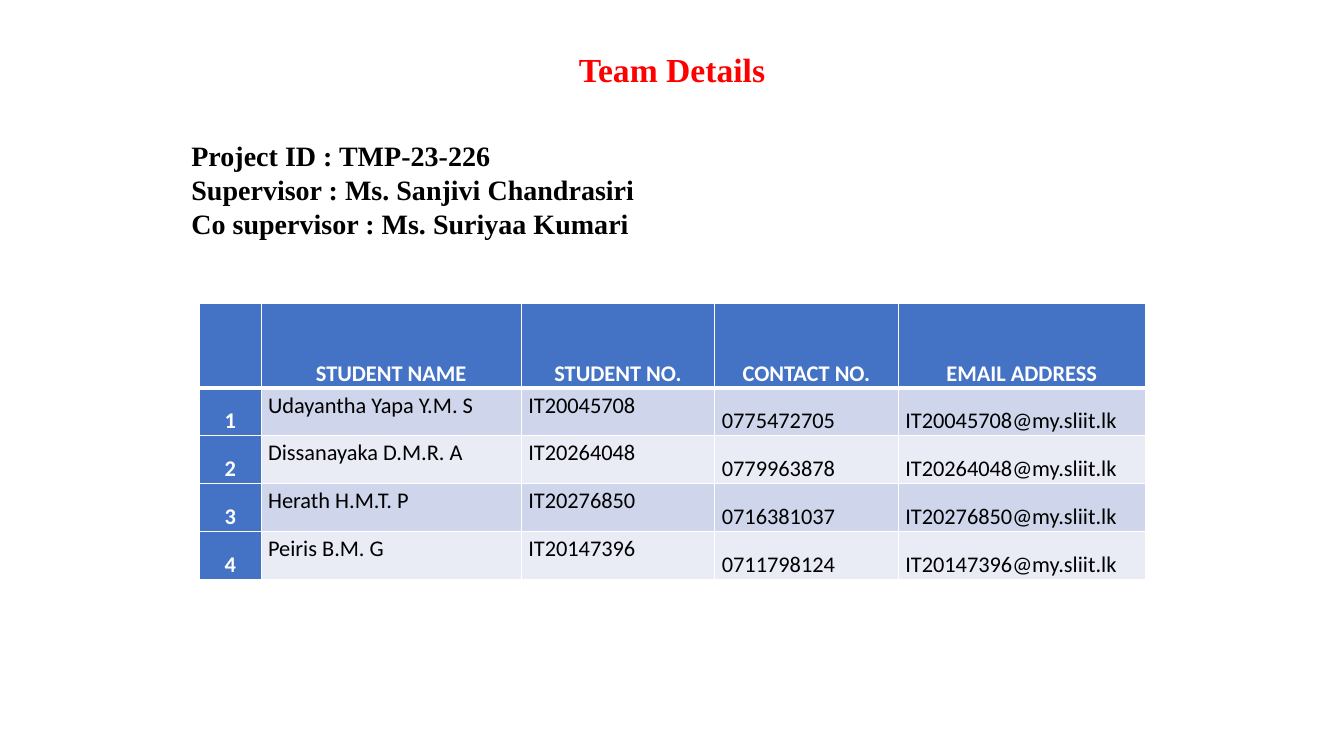
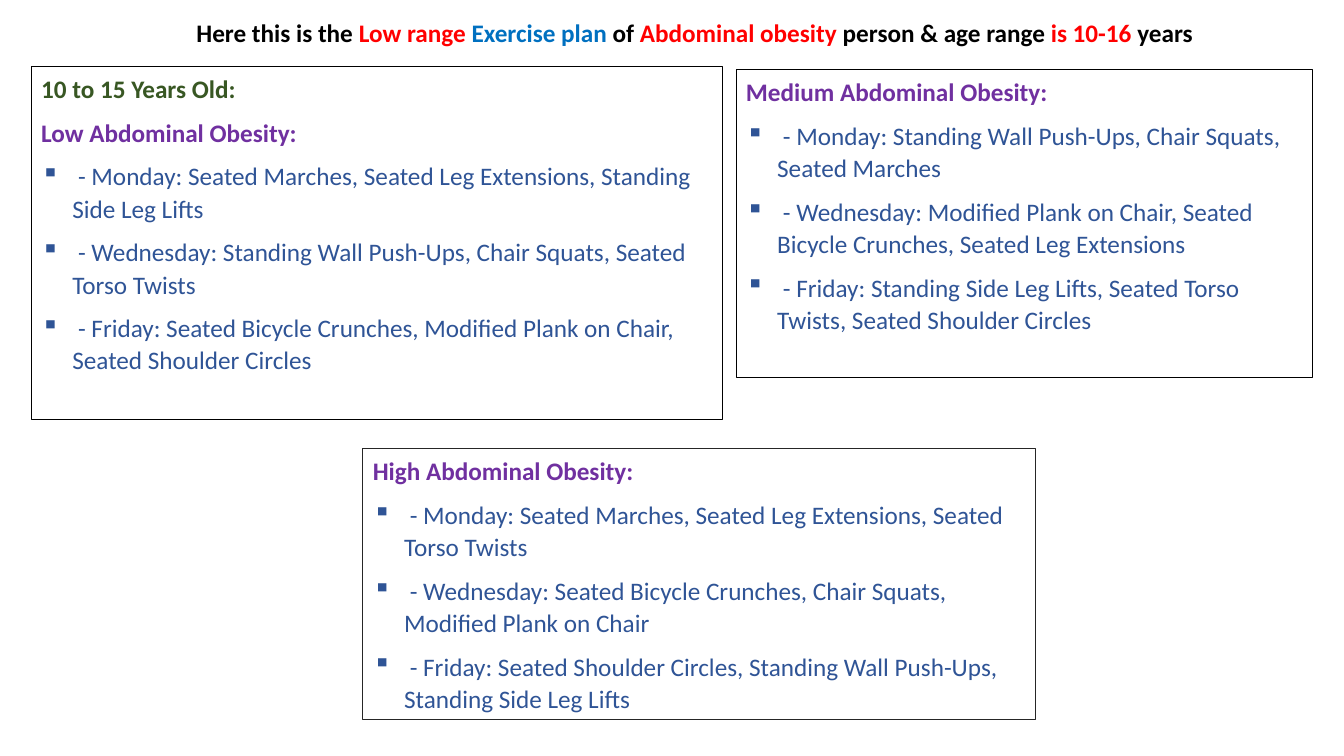
from dataclasses import dataclass

from lxml import etree
from pptx import Presentation
from pptx.dml.color import RGBColor
from pptx.enum import shapes, text
from pptx.oxml import ns
from pptx.util import Inches, Pt

SERIF, SANS = "Times New Roman", "Calibri"
BLACK, WHITE, RED, BLUE = "000000", "FFFFFF", "FF0000", "0070C0"
HEADER_BLUE, BANDS = "4472C4", ("CFD5EA", "E9EBF5")
GREEN, PURPLE, EXERCISE_BLUE = "385723", "7030A0", "2F5496"
CENTER, LEFT = text.PP_ALIGN.CENTER, text.PP_ALIGN.LEFT
TOP, BOTTOM = text.MSO_ANCHOR.TOP, text.MSO_ANCHOR.BOTTOM


@dataclass(frozen=True)
class Area:
    left: float
    top: float
    width: float
    height: float

    def lengths(self) -> tuple:
        return tuple(Inches(n) for n in (self.left, self.top, self.width, self.height))


@dataclass(frozen=True)
class Student:
    name: str
    number: str
    contact: str


@dataclass(frozen=True)
class Heading:
    wording: str
    color: str


@dataclass(frozen=True)
class Plan:
    area: Area
    line: str
    headings: tuple[Heading, ...]
    exercises: tuple[str, ...]


STUDENTS = (
    Student("Udayantha Yapa Y.M. S", "IT20045708", "0775472705"),
    Student("Dissanayaka D.M.R. A", "IT20264048", "0779963878"),
    Student("Herath H.M.T. P", "IT20276850", "0716381037"),
    Student("Peiris B.M. G", "IT20147396", "0711798124"),
)
TABLE_HEADINGS = ("", "STUDENT NAME", "STUDENT NO.", "CONTACT NO.", "EMAIL ADDRESS")
COLUMN_WIDTHS = (0.61, 2.58, 1.92, 1.82, 2.45)
HEADER_HEIGHT, ROW_HEIGHT = 0.84, 0.475
PROJECT_LINES = (
    "Project ID : TMP-23-226",
    "Supervisor : Ms. Sanjivi Chandrasiri",
    "Co supervisor : Ms. Suriyaa Kumari",
)
PLAN_TITLE = (
    ("Here this is the ", BLACK),
    ("Low range ", RED),
    ("Exercise plan ", BLUE),
    ("of", BLACK),
    (" Abdominal obesity ", RED),
    ("person & age range ", BLACK),
    ("is 10-16 ", RED),
    ("years", BLACK),
)
PLANS = (
    Plan(
        Area(0.31, 0.66, 6.86, 3.5), BLACK,
        (Heading("10 to 15 Years Old:", GREEN), Heading("Low Abdominal Obesity:", PURPLE)),
        (
            "Monday: Seated Marches, Seated Leg Extensions, Standing Side Leg Lifts",
            "Wednesday: Standing Wall Push-Ups, Chair Squats, Seated Torso Twists",
            "Friday: Seated Bicycle Crunches, Modified Plank on Chair, Seated Shoulder Circles",
        ),
    ),
    Plan(
        Area(7.3, 0.69, 5.72, 3.06), BLACK,
        (Heading("Medium Abdominal Obesity:", PURPLE),),
        (
            "Monday: Standing Wall Push-Ups, Chair Squats, Seated Marches",
            "Wednesday: Modified Plank on Chair, Seated Bicycle Crunches, Seated Leg Extensions",
            "Friday: Standing Side Leg Lifts, Seated Torso Twists, Seated Shoulder Circles",
        ),
    ),
    Plan(
        Area(3.6, 4.45, 6.67, 2.69), "262626",
        (Heading("High Abdominal Obesity:", PURPLE),),
        (
            "Monday: Seated Marches, Seated Leg Extensions, Seated Torso Twists",
            "Wednesday: Seated Bicycle Crunches, Chair Squats, Modified Plank on Chair",
            "Friday: Seated Shoulder Circles, Standing Wall Push-Ups, Standing Side Leg Lifts",
        ),
    ),
)


def rgb(color: str) -> RGBColor:
    return RGBColor.from_string(color)


def add_run(paragraph, wording: str, size: float, color: str,
            bold: bool = True, font: str = SANS) -> None:
    run = paragraph.add_run()
    run.text = wording
    run.font.name = font
    run.font.size = Pt(size)
    run.font.bold = bold
    run.font.color.rgb = rgb(color)


def next_paragraph(frame):
    """Return the unused first paragraph, or a new one."""
    first = frame.paragraphs[0]
    return frame.add_paragraph() if first.runs else first


def add_text_box(slide, area: Area):
    frame = slide.shapes.add_textbox(*area.lengths()).text_frame
    frame.word_wrap = True
    return frame


def set_spacing(paragraph, line: float, after: float) -> None:
    paragraph.line_spacing = line
    paragraph.space_after = Pt(after)


def add_bullet(paragraph) -> None:
    properties = paragraph._p.get_or_add_pPr()
    properties.set("marL", str(Inches(0.31)))
    properties.set("indent", str(-Inches(0.31)))
    etree.SubElement(properties, ns.qn("a:buChar"), char="▪")


def set_borders(cell, bottom: float, top: float) -> None:
    properties = cell._tc.get_or_add_tcPr()
    for side, width in (("L", 1), ("R", 1), ("T", top), ("B", bottom)):
        line = etree.SubElement(properties, ns.qn(f"a:ln{side}"), w=str(Pt(width)))
        fill = etree.SubElement(line, ns.qn("a:solidFill"))
        etree.SubElement(fill, ns.qn("a:srgbClr"), val=WHITE)


def fill_cell(cell, wording: str, row: int, column: int) -> None:
    is_heading = row == 0 or column == 0
    set_borders(cell, bottom=3 if row == 0 else 1, top=3 if row == 1 else 1)
    cell.fill.solid()
    cell.fill.fore_color.rgb = rgb(HEADER_BLUE if is_heading else BANDS[(row - 1) % 2])
    cell.margin_left = cell.margin_right = Inches(0.07)
    cell.margin_top = cell.margin_bottom = Inches(0.01)
    cell.vertical_anchor = TOP if row > 0 and column in (1, 2) else BOTTOM
    paragraph = cell.text_frame.paragraphs[0]
    paragraph.alignment = CENTER if is_heading else LEFT
    set_spacing(paragraph, 1.1, 6)
    if wording:
        add_run(paragraph, wording, 16, WHITE if is_heading else BLACK, is_heading)


def add_student_table(slide) -> None:
    rows = [TABLE_HEADINGS] + [
        (str(place), student.name, student.number, student.contact,
         f"{student.number}@my.sliit.lk")
        for place, student in enumerate(STUDENTS, 1)
    ]
    area = Area(1.98, 3.01, sum(COLUMN_WIDTHS), HEADER_HEIGHT + ROW_HEIGHT * len(STUDENTS))
    table = slide.shapes.add_table(len(rows), len(COLUMN_WIDTHS), *area.lengths()).table
    for column, width in zip(table.columns, COLUMN_WIDTHS):
        column.width = Inches(width)
    for row, wordings in enumerate(rows):
        table.rows[row].height = Inches(ROW_HEIGHT if row else HEADER_HEIGHT)
        for column, wording in enumerate(wordings):
            fill_cell(table.cell(row, column), wording, row, column)


def add_plan(slide, plan: Plan) -> None:
    shape = slide.shapes.add_shape(shapes.MSO_SHAPE.RECTANGLE, *plan.area.lengths())
    shape.shadow.inherit = False
    shape.fill.background()
    shape.line.color.rgb = rgb(plan.line)
    shape.line.width = Pt(0.75)
    frame = shape.text_frame
    frame.word_wrap = True
    frame.vertical_anchor = TOP
    for heading in plan.headings:
        paragraph = next_paragraph(frame)
        add_run(paragraph, heading.wording, 18, heading.color)
    for exercise in plan.exercises:
        paragraph = next_paragraph(frame)
        add_bullet(paragraph)
        add_run(paragraph, f" - {exercise}", 18, EXERCISE_BLUE, bold=False)
    for paragraph in frame.paragraphs:
        paragraph.alignment = LEFT
        set_spacing(paragraph, 1.07, 8)


def add_team_slide(presentation) -> None:
    slide = presentation.slides.add_slide(presentation.slide_layouts[6])
    add_student_table(slide)
    title = add_text_box(slide, Area(1.8, 0.44, 9.73, 0.5)).paragraphs[0]
    title.alignment = CENTER
    add_run(title, "Team Details", 24, RED, font=SERIF)
    project = add_text_box(slide, Area(1.8, 1.33, 9.73, 1.1))
    for line in PROJECT_LINES:
        add_run(next_paragraph(project), line, 20, BLACK, font=SERIF)


def add_plan_slide(presentation) -> None:
    slide = presentation.slides.add_slide(presentation.slide_layouts[6])
    title = add_text_box(slide, Area(1.85, 0.12, 10.17, 0.4)).paragraphs[0]
    for wording, color in PLAN_TITLE:
        add_run(title, wording, 18, color)
    for plan in PLANS:
        add_plan(slide, plan)


def main() -> None:
    presentation = Presentation()
    presentation.slide_width = Inches(13.33)
    presentation.slide_height = Inches(7.5)
    add_team_slide(presentation)
    add_plan_slide(presentation)
    presentation.save("out.pptx")


if __name__ == "__main__":
    main()
